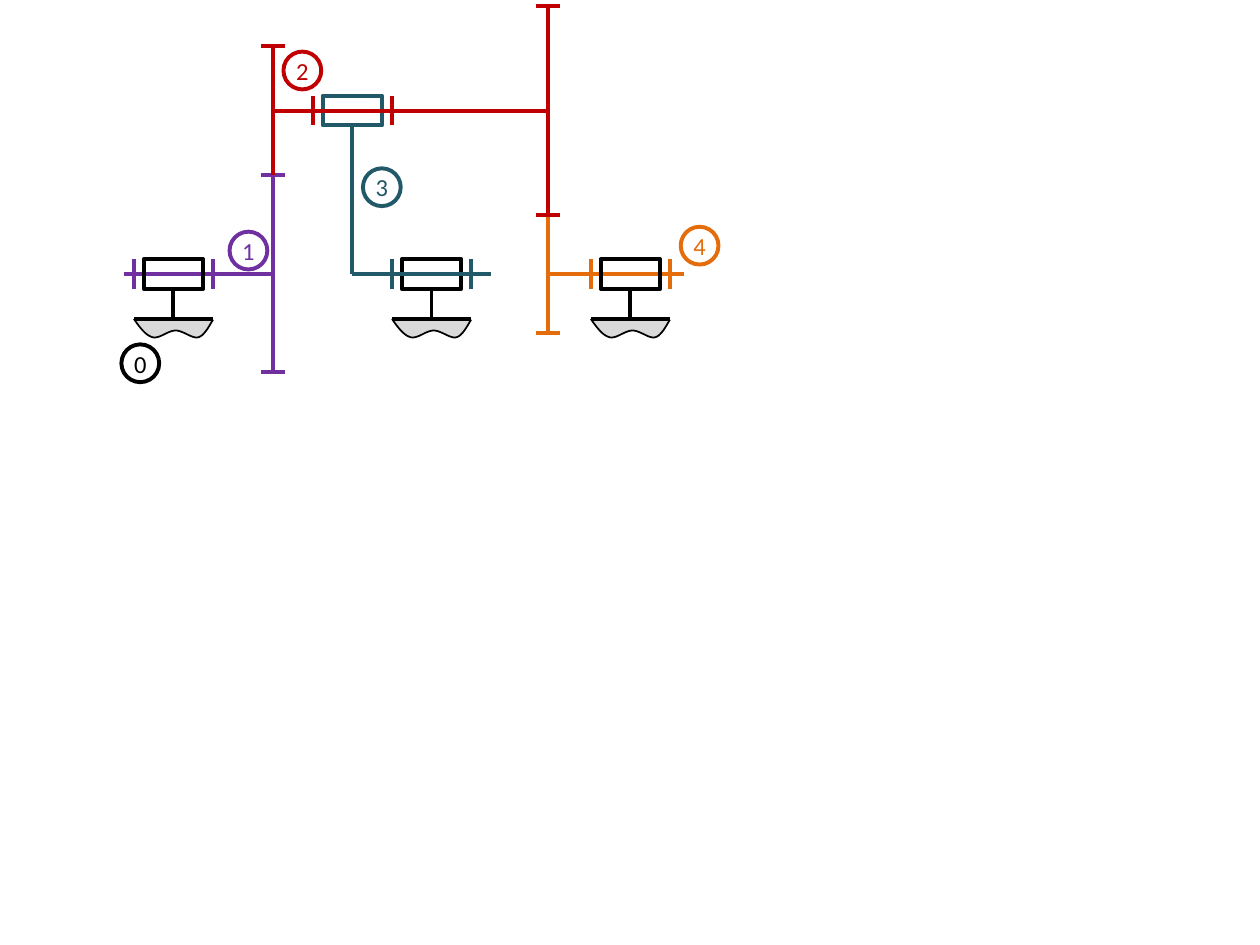
"""Build a slide with the kinematic diagram of a planetary gear train."""
from dataclasses import dataclass

from lxml import etree
from pptx import Presentation
from pptx.dml.color import RGBColor
from pptx.enum.shapes import MSO_CONNECTOR, MSO_SHAPE
from pptx.enum.text import MSO_ANCHOR, PP_ALIGN
from pptx.oxml import parse_xml
from pptx.oxml.ns import nsdecls, qn
from pptx.util import Pt

STRAIGHT = MSO_CONNECTOR.STRAIGHT
RECTANGLE, OVAL = MSO_SHAPE.RECTANGLE, MSO_SHAPE.OVAL
MIDDLE, CENTER = MSO_ANCHOR.MIDDLE, PP_ALIGN.CENTER

BEARING_WIDTH, BEARING_HEIGHT = 34, 17
COLLAR_SPAN, TOOTH_SPAN = 45.2, 13.4
LABEL_SIZE, STEM = 21.6, 17.2
SOIL_CURVES = (
    ((0, 0), (3.4, 4.9), (6.8, 9.5), (10.8, 10.5)),
    ((10.8, 10.5), (14.6, 11.4), (19.5, 6.7), (23.6, 6.6)),
    ((23.6, 6.6), (27.8, 6.5), (32.7, 10.9), (36.2, 10.6)),
    ((36.2, 10.6), (39.5, 10.2), (41.9, 6.1), (45.2, 0.4)),
)
CURVE_STEPS = 10


@dataclass(frozen=True)
class Theme:
    """Colours, type and line widths of the diagram."""

    frame: str = "000000"
    sun: str = "7030A0"
    planet: str = "C00000"
    carrier: str = "215968"
    output: str = "E46C0A"
    soil: str = "D9D9D9"
    font: str = "Calibri"
    label_size: float = 14
    stroke: float = 2.25
    thin: float = 1
    text_outline: float = 0.75


def curve_point(curve, t):
    """Return the point of a cubic curve at parameter t."""
    weights = ((1 - t) ** 3, 3 * t * (1 - t) ** 2, 3 * t**2 * (1 - t), t**3)
    return tuple(sum(w * p[axis] for w, p in zip(weights, curve)) for axis in (0, 1))


class Diagram:
    """Draws gear train symbols on one slide."""

    def __init__(self, slide, theme):
        """Keep the slide and its theme."""
        self.shapes = slide.shapes
        self.theme = theme

    def stroke(self, shape, color, width):
        """Set the outline of a shape."""
        shape.line.color.rgb = RGBColor.from_string(color)
        shape.line.width = Pt(width)

    def line(self, x1, y1, x2, y2, color):
        """Draw a straight line."""
        link = self.shapes.add_connector(STRAIGHT, Pt(x1), Pt(y1), Pt(x2), Pt(y2))
        self.stroke(link, color, self.theme.stroke)
        etree.SubElement(link._element.spPr, qn("a:effectLst"))

    def outline(self, kind, x, y, width, height, color):
        """Draw an unfilled shape centred on a point."""
        box = self.shapes.add_shape(
            kind, Pt(x - width / 2), Pt(y - height / 2), Pt(width), Pt(height))
        box.shadow.inherit = False
        box.fill.background()
        self.stroke(box, color, self.theme.stroke)
        return box

    def bearing(self, x, y, color):
        """Draw the sleeve of a bearing."""
        self.outline(RECTANGLE, x, y, BEARING_WIDTH, BEARING_HEIGHT, color)

    def collars(self, x, y, color):
        """Draw the two shaft collars beside a bearing."""
        for side in (x - COLLAR_SPAN / 2, x + COLLAR_SPAN / 2):
            self.line(side, y - BEARING_HEIGHT / 2, side, y + BEARING_HEIGHT / 2, color)

    def gear(self, x, top, bottom, teeth, color):
        """Draw a gear edge-on, with tooth marks at the given heights."""
        self.line(x, top, x, bottom, color)
        for y in teeth:
            self.line(x - TOOTH_SPAN / 2, y, x + TOOTH_SPAN / 2, y, color)

    def ground(self, x, y):
        """Draw the fixed support under a bearing."""
        left, top = x - COLLAR_SPAN / 2, y + BEARING_HEIGHT / 2
        base = top + STEM
        builder = self.shapes.build_freeform(Pt(left), Pt(base))
        points = [curve_point(curve, step / CURVE_STEPS)
                  for curve in SOIL_CURVES for step in range(1, CURVE_STEPS + 1)]
        builder.add_line_segments(
            [(Pt(left + dx), Pt(base + dy)) for dx, dy in points], close=False)
        soil = builder.convert_to_shape()
        soil.shadow.inherit = False
        soil.fill.solid()
        soil.fill.fore_color.rgb = RGBColor.from_string(self.theme.soil)
        self.stroke(soil, self.theme.frame, self.theme.thin)
        self.line(x, top, x, base, self.theme.frame)
        self.line(left, base, left + COLLAR_SPAN, base, self.theme.frame)

    def label(self, text, x, y, color):
        """Draw a circled link number."""
        circle = self.outline(OVAL, x, y, LABEL_SIZE, LABEL_SIZE, color)
        frame = circle.text_frame
        frame_format = {"margin_left": 0, "margin_right": 0, "margin_top": 0,
                        "margin_bottom": 0, "vertical_anchor": MIDDLE, "word_wrap": True}
        for name, value in frame_format.items():
            setattr(frame, name, value)
        para = frame.paragraphs[0]
        para.alignment = CENTER
        span = para.add_run()
        span.text = text
        font_format = {"name": self.theme.font, "size": Pt(self.theme.label_size)}
        for name, value in font_format.items():
            setattr(span.font, name, value)
        span.font.color.rgb = RGBColor.from_string(color)
        span._r.get_or_add_rPr().insert(0, parse_xml(
            f'<a:ln {nsdecls("a")} w="{Pt(self.theme.text_outline)}"><a:solidFill>'
            f'<a:srgbClr val="{color}"/></a:solidFill></a:ln>'))


def main():
    """Assemble the gear train and save the deck."""
    deck = Presentation()
    deck.slide_width, deck.slide_height = Pt(720), Pt(540)
    theme = Theme()
    diagram = Diagram(deck.slides.add_slide(deck.slide_layouts[6]), theme)

    axis, planet_axis = 156.6, 63.2
    sun_x, carrier_x, output_x = 99.1, 246.6, 360.2
    planet_x, first_mesh, second_mesh = 201.4, 156, 313.2

    diagram.line(70.6, axis, first_mesh, axis, theme.sun)
    diagram.line(second_mesh, axis, 391, axis, theme.output)
    for x in (sun_x, carrier_x, output_x):
        diagram.ground(x, axis)
        diagram.bearing(x, axis, theme.frame)
    diagram.bearing(planet_x, planet_axis, theme.carrier)

    diagram.line(first_mesh, planet_axis, second_mesh, planet_axis, theme.planet)
    diagram.line(planet_x, planet_axis + BEARING_HEIGHT / 2, planet_x, axis, theme.carrier)
    diagram.line(planet_x, axis, 280.6, axis, theme.carrier)

    for x, y, color in (
        (sun_x, axis, theme.sun),
        (planet_x, planet_axis, theme.planet),
        (carrier_x, axis, theme.carrier),
        (output_x, axis, theme.output),
    ):
        diagram.collars(x, y, color)

    for x, top, bottom, teeth, color in (
        (first_mesh, 100, 212.8, (100, 212.8), theme.sun),
        (first_mesh, 26.2, 100, (26.2,), theme.planet),
        (second_mesh, 122.6, 190.4, (190.4,), theme.output),
        (second_mesh, 3.6, 122.6, (3.6, 122.6), theme.planet),
    ):
        diagram.gear(x, top, bottom, teeth, color)

    for text, x, y, color in (
        ("0", 80.2, 207.6, theme.frame),
        ("1", 142, 143.2, theme.sun),
        ("2", 172.8, 40.3, theme.planet),
        ("3", 218.2, 107, theme.carrier),
        ("4", 399.8, 140.4, theme.output),
    ):
        diagram.label(text, x, y, color)

    deck.save("out.pptx")


if __name__ == "__main__":
    main()
